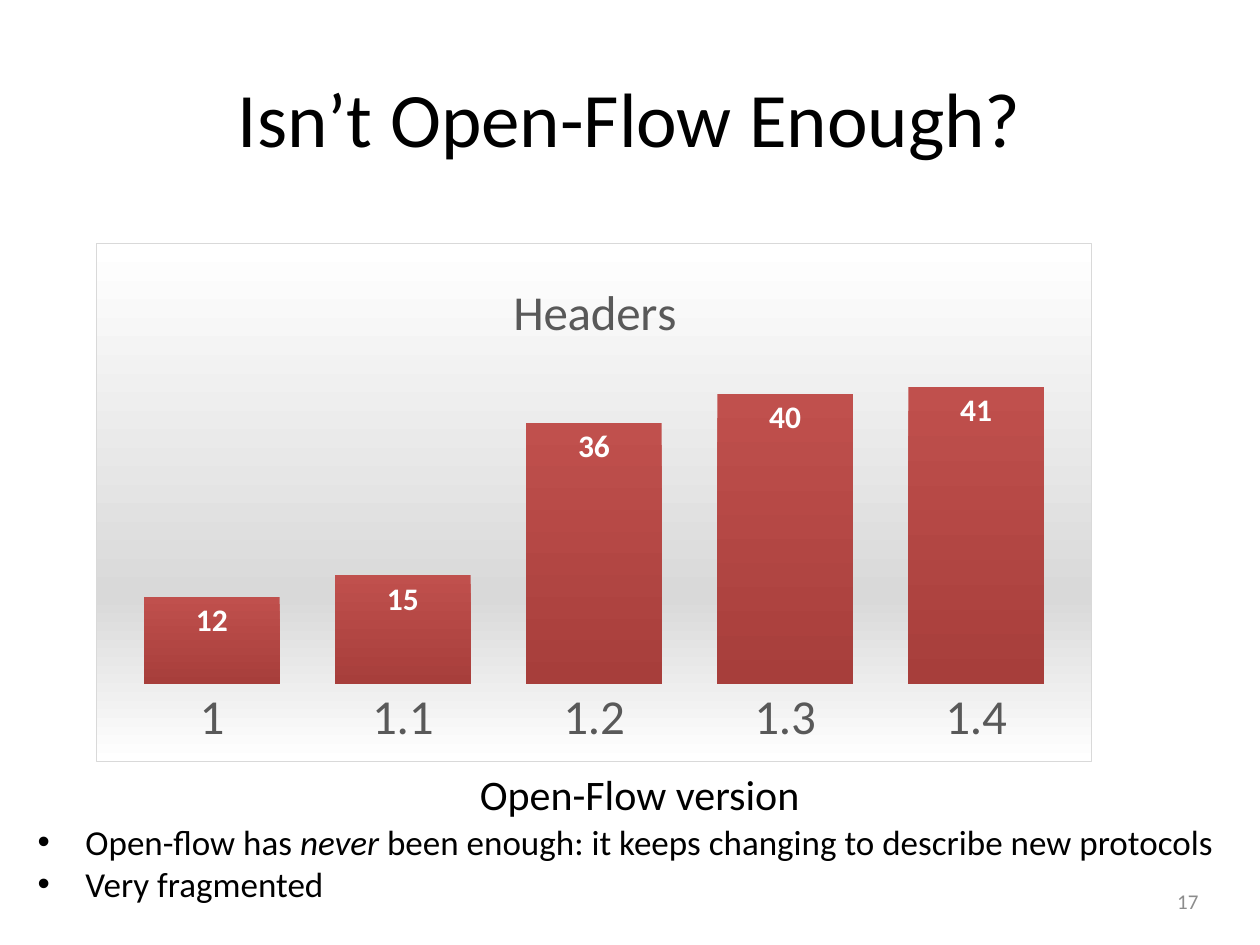
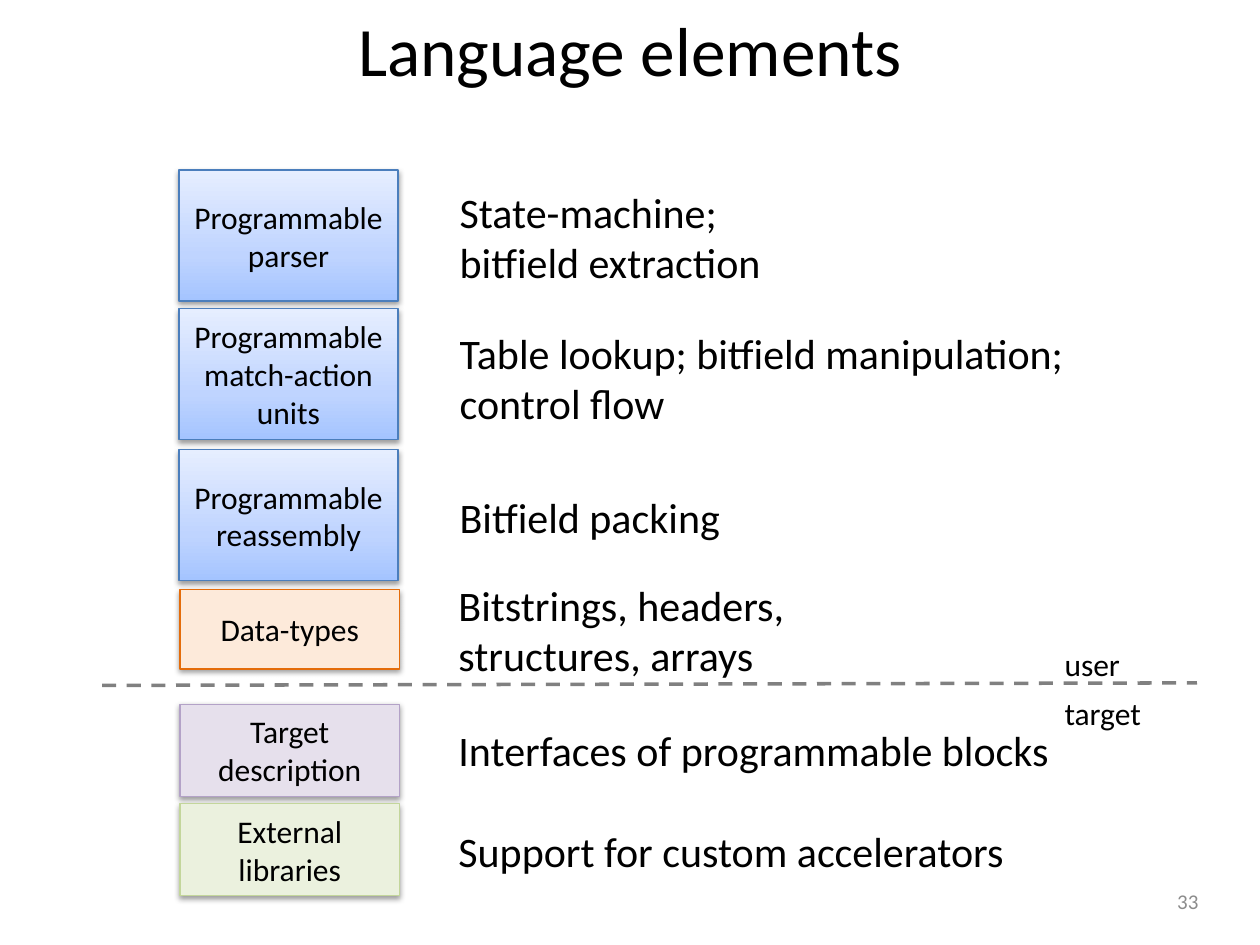
"""Build two slides: header counts by Open-Flow version, and language elements."""
from lxml.etree import SubElement
from pptx import Presentation
from pptx.chart.data import CategoryChartData
from pptx.dml.color import RGBColor
from pptx.enum.chart import XL_CHART_TYPE as ChartType, XL_LABEL_POSITION as LabelPosition
from pptx.enum.chart import XL_TICK_MARK as TickMark
from pptx.enum.dml import MSO_LINE as Dash
from pptx.enum.shapes import MSO_CONNECTOR as Connector, MSO_SHAPE as Shape
from pptx.enum.text import MSO_ANCHOR as Anchor, PP_ALIGN as Align
from pptx.oxml import parse_xml
from pptx.oxml.ns import nsdecls, qn
from pptx.util import Pt

PX = 9144
FONT = "Calibri"
BLACK, GREY, SILVER = "000000", "595959", "D9D9D9"
BLUE_STOPS = ((0, "A4C4FF"), (35, "BFD4FF"), (100, "E6EEFF"))
rgb = RGBColor.from_string


def write(frame, lines, size, align=Align.LEFT, color=BLACK):
    """Fill a text frame with one paragraph per line, each a list of run texts."""
    for index, texts in enumerate(lines):
        para = frame.paragraphs[0] if index == 0 else frame.add_paragraph()
        para.alignment = align
        for text in texts:
            span = para.add_run()
            span.text = text
            span.font.name, span.font.size = FONT, Pt(size)
            span.font.color.rgb = rgb(color)


def set_gradient(properties, stops, angle):
    """Replace the empty fill of a shape's properties with a linear gradient."""
    marks = "".join(f'<a:gs pos="{place * 1000}"><a:srgbClr val="{color}"/></a:gs>'
                    for place, color in stops)
    gradient = parse_xml(f'<a:gradFill {nsdecls("a")} rotWithShape="1"><a:gsLst>{marks}</a:gsLst>'
                         f'<a:lin ang="{angle * 60000}" scaled="0"/></a:gradFill>')
    properties.replace(properties.find(qn("a:noFill")), gradient)


deck = Presentation()
deck.slide_width, deck.slide_height = 1000 * PX, 750 * PX
pages = []
for heading, top, height, size, number in (
    ("Isn’t Open-Flow Enough?", 30, 125, 44, "17"),
    ("Language elements", 0, 77, 39.6, "33"),
):
    page = deck.slides.add_slide(deck.slide_layouts[5])
    pages.append(page)
    title = page.shapes.title
    title.left, title.top, title.width, title.height = 50 * PX, top * PX, 900 * PX, height * PX
    title.text_frame.vertical_anchor = Anchor.MIDDLE
    write(title.text_frame, [[heading]], size, Align.CENTER)
    box = page.shapes.add_textbox(857 * PX, 695 * PX, 104 * PX, 40 * PX)
    box.text_frame.word_wrap = True
    box.text_frame.vertical_anchor = Anchor.MIDDLE
    write(box.text_frame, [[number]], 12, Align.RIGHT, "8C8C8C")
versions_page, elements_page = pages

data = CategoryChartData()
data.categories = ["1", "1.1", "1.2", "1.3", "1.4"]
data.add_series("Series 1", (12, 15, 36, 40, 41))
chart = versions_page.shapes.add_chart(
    ChartType.COLUMN_CLUSTERED, 76 * PX, 193 * PX, 791 * PX, 412 * PX, data).chart
chart.has_legend = False
chart.font.name, chart.font.size = FONT, Pt(10)
chart.font.color.rgb = rgb(BLACK)
write(chart.chart_title.text_frame, [["Headers"]], 28, Align.CENTER, GREY)
chart.chart_title.text_frame.paragraphs[0].runs[0].font.bold = False

space = chart._chartSpace
area = parse_xml(f'<c:spPr {nsdecls("c", "a")}><a:noFill/><a:ln w="9525"><a:solidFill>'
                 f'<a:srgbClr val="{SILVER}"/></a:solidFill></a:ln></c:spPr>')
set_gradient(area, ((0, "FFFFFF"), (68, SILVER), (100, "FFFFFF")), 90)
space.find(qn("c:txPr")).addprevious(area)

plot_area = space.chart.plotArea
for parent, index, layout in (
    (space.chart.find(qn("c:title")), 1, {"x": 0.41, "y": 0.05}),
    (plot_area, 0, {"x": 0.02, "y": 0.22, "w": 0.96, "h": 0.63}),
):
    for old in parent.findall(qn("c:layout")):
        parent.remove(old)
    holder = parse_xml(f'<c:layout {nsdecls("c")}><c:manualLayout/></c:layout>')
    if parent is plot_area:
        SubElement(holder[0], qn("c:layoutTarget")).set("val", "inner")
    for axis_name in "xy":
        SubElement(holder[0], qn(f"c:{axis_name}Mode")).set("val", "edge")
    for key, value in layout.items():
        SubElement(holder[0], qn(f"c:{key}")).set("val", str(value))
    parent.insert(index, holder)

version_axis, count_axis = chart.category_axis, chart.value_axis
version_axis.major_tick_mark = TickMark.NONE
version_axis.format.line.fill.background()
version_axis.tick_labels.font.name = FONT
version_axis.tick_labels.font.size = Pt(28)
version_axis.tick_labels.font.color.rgb = rgb(GREY)
count_axis.has_major_gridlines = False
count_axis.minimum_scale, count_axis.maximum_scale = 0, 45
count_axis.visible = False

plot = chart.plots[0]
plot.gap_width = 41
plot.vary_by_categories = False
series = plot.series[0]
series.format.fill.background()
set_gradient(series.format.fill._xPr, ((0, "C0504D"), (100, "A73E3B")), 90)
labels = series.data_labels
labels.show_value = True
labels.position = LabelPosition.INSIDE_END
labels.font.name, labels.font.size, labels.font.bold = FONT, Pt(18), True
labels.font.color.rgb = rgb("FFFFFF")

box = versions_page.shapes.add_textbox(20 * PX, 646 * PX, 961 * PX, 77 * PX)
box.text_frame.word_wrap = False
write(box.text_frame, [
    ["Open-flow has ", "never", " been enough: it keeps changing to describe new protocols"],
    ["Very fragmented"],
], 20)
box.text_frame.paragraphs[0].runs[1].font.italic = True
for para in box.text_frame.paragraphs:
    properties = para._p.get_or_add_pPr()
    properties.set("marL", str(38 * PX))
    properties.set("indent", str(-38 * PX))
    SubElement(properties, qn("a:buFont")).set("typeface", "Arial")
    SubElement(properties, qn("a:buChar")).set("char", "•")

for left, top, height, lines, fill, edge in (
    (142, 135, 104, ["Programmable", "parser"], None, "4B7EBC"),
    (142, 245, 104, ["Programmable", "match-action", "units"], None, "4B7EBC"),
    (142, 357, 104, ["Programmable", "reassembly"], None, "4B7EBC"),
    (143, 468, 63, ["Data-types"], "FDEADA", "E46C0A"),
    (143, 559, 73, ["Target", "description"], "E6E0EC", "B3A2C7"),
    (143, 638, 73, ["External libraries"], "EBF1DE", "C3D69B"),
):
    block = elements_page.shapes.add_shape(
        Shape.RECTANGLE, left * PX, top * PX, 174 * PX, height * PX)
    if fill:
        block.fill.solid()
        block.fill.fore_color.rgb = rgb(fill)
    else:
        block.fill.background()
        set_gradient(block._element.spPr, BLUE_STOPS, 270)
    block.line.color.rgb = rgb(edge)
    block.line.width = Pt(0.75)
    block.shadow.inherit = False
    block._element.spPr.find(qn("a:effectLst")).append(parse_xml(
        f'<a:outerShdw {nsdecls("a")} blurRad="40000" dist="20000" dir="5400000" rotWithShape="0">'
        f'<a:srgbClr val="{BLACK}"><a:alpha val="38000"/></a:srgbClr></a:outerShdw>'))
    block.text_frame.word_wrap = True
    block.text_frame.vertical_anchor = Anchor.MIDDLE
    write(block.text_frame, [[line] for line in lines], 18, Align.CENTER)

divider = elements_page.shapes.add_connector(
    Connector.STRAIGHT, 81 * PX, 544 * PX, 950 * PX, 542 * PX)
divider.line.color.rgb = rgb("808080")
divider.line.width = Pt(2)
divider.line.dash_style = Dash.DASH
SubElement(divider._element.spPr, qn("a:effectLst"))

for page, left, top, width, height, size, lines in (
    (versions_page, 371, 605, 277, 50, 24, ["Open-Flow version"]),
    (elements_page, 355, 143, 263, 91, 24, ["State-machine;", "bitfield extraction"]),
    (elements_page, 355, 255, 512, 91, 24,
     ["Table lookup; bitfield manipulation;", "control flow"]),
    (elements_page, 355, 385, 230, 50, 24, ["Bitfield packing"]),
    (elements_page, 354, 455, 281, 91, 24, ["Bitstrings, headers,", "structures, arrays"]),
    (elements_page, 354, 570, 493, 50, 24, ["Interfaces of programmable blocks"]),
    (elements_page, 354, 650, 464, 50, 24, ["Support for custom accelerators"]),
    (elements_page, 835, 507, 65, 40, 18, ["user"]),
    (elements_page, 835, 546, 81, 40, 18, ["target"]),
):
    box = page.shapes.add_textbox(left * PX, top * PX, width * PX, height * PX)
    box.text_frame.word_wrap = False
    write(box.text_frame, [[line] for line in lines], size)

deck.save("out.pptx")
